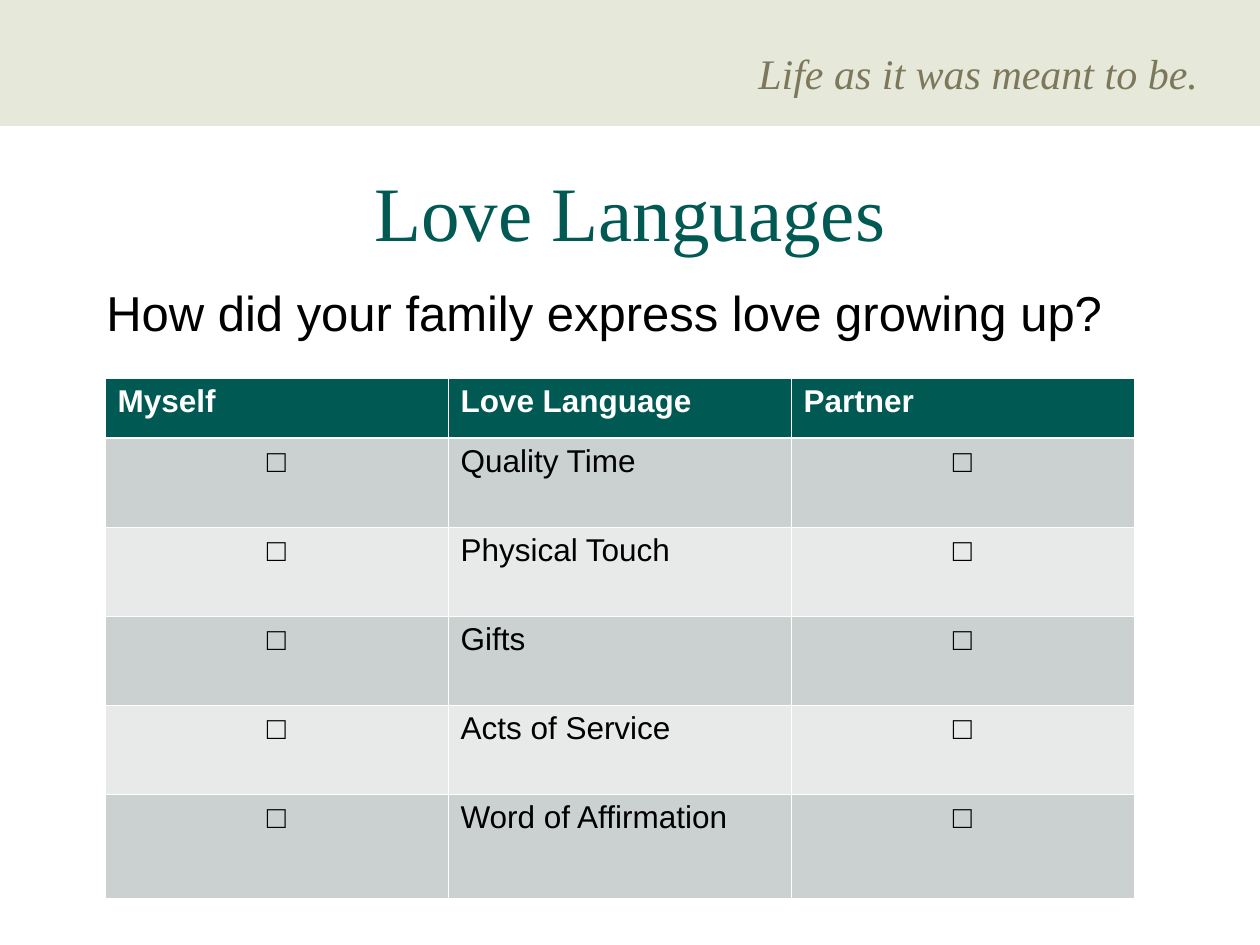
from dataclasses import dataclass

import pptx
import pptx.dml.color
import pptx.enum.shapes
import pptx.enum.text
import pptx.oxml
import pptx.oxml.ns
import pptx.util

ALIGN = pptx.enum.text.PP_ALIGN
ANCHOR = pptx.enum.text.MSO_ANCHOR


@dataclass(frozen=True)
class Theme:
    serif: str = "Times New Roman"
    sans: str = "Arial"
    band: str = "E6E9DA"
    tagline: str = "7D785B"
    teal: str = "005953"
    row_dark: str = "CBD1D1"
    row_light: str = "E7EAE9"
    white: str = "FFFFFF"
    black: str = "000000"
    tagline_size: int = 24
    title_size: int = 44
    question_size: int = 28
    cell_size: int = 18
    thin: float = 0.45
    thick: float = 1.47


@dataclass(frozen=True)
class Box:
    x: int
    y: int
    w: int
    h: int

    def emu(self) -> tuple:
        return tuple(px(v) for v in (self.x, self.y, self.w, self.h))


@dataclass(frozen=True)
class TextItem:
    text: str
    box: Box
    font: str
    size: int
    color: str
    italic: bool = False
    align: ALIGN = ALIGN.LEFT
    anchor: ANCHOR = ANCHOR.TOP
    top: int = 6


T = Theme()

SLIDE = Box(0, 0, 1260, 945)
BAND = Box(0, 0, 1260, 126)
TABLE = Box(105, 378, 1029, 520)
ROW_HEIGHTS = [60, 89, 89, 89, 89, 104]
HEADERS = ["Myself", "Love Language", "Partner"]
LANGUAGES = ["Quality Time", "Physical Touch", "Gifts", "Acts of Service",
             "Word of Affirmation"]

TEXTS = [
    TextItem("Life as it was meant to be.", Box(746, 42, 494, 63),
             T.serif, T.tagline_size, T.tagline, italic=True),
    TextItem("Love Languages", Box(94, 158, 1072, 105),
             T.serif, T.title_size, T.teal, align=ALIGN.CENTER, anchor=ANCHOR.MIDDLE),
    TextItem("How did your family express love growing up?", Box(94, 273, 1072, 567),
             T.sans, T.question_size, T.black, top=10),
]


def px(n: int) -> int:
    return round(n * 914400 / 126)


def rgb(color: str) -> pptx.dml.color.RGBColor:
    return pptx.dml.color.RGBColor.from_string(color)


def write(tf, text: str, *, font: str, size: int, color: str, bold: bool = False,
          italic: bool = False, align: ALIGN = ALIGN.LEFT) -> None:
    p = tf.paragraphs[0]
    p.alignment = align
    r = p.add_run()
    r.text = text
    r.font.name = font
    r.font.size = pptx.util.Pt(size)
    r.font.bold = bold
    r.font.italic = italic
    r.font.color.rgb = rgb(color)


def add_band(s) -> None:
    sp = s.shapes.add_shape(pptx.enum.shapes.MSO_SHAPE.RECTANGLE, *BAND.emu())
    sp.shadow.inherit = False
    sp.fill.solid()
    sp.fill.fore_color.rgb = rgb(T.band)
    sp.line.fill.background()


def add_text(s, item: TextItem) -> None:
    tf = s.shapes.add_textbox(*item.box.emu()).text_frame
    tf.word_wrap = True
    tf.vertical_anchor = item.anchor
    tf.margin_top = px(item.top)
    write(tf, item.text, font=item.font, size=item.size, color=item.color,
          italic=item.italic, align=item.align)


def set_borders(cell, top: float, bottom: float) -> None:
    tc_pr = cell._tc.get_or_add_tcPr()
    ns = pptx.oxml.ns.nsdecls("a")
    widths = {"lnL": T.thin, "lnR": T.thin, "lnT": top, "lnB": bottom}
    for i, (tag, width) in enumerate(widths.items()):
        tc_pr.insert(i, pptx.oxml.parse_xml(
            f'<a:{tag} {ns} w="{pptx.util.Pt(width)}"><a:solidFill>'
            f'<a:srgbClr val="{T.white}"/></a:solidFill></a:{tag}>'))


def add_table(s) -> None:
    rows = [HEADERS] + [["□", name, "□"] for name in LANGUAGES]
    table = s.shapes.add_table(len(rows), len(HEADERS), *TABLE.emu()).table
    for column in table.columns:
        column.width = px(TABLE.w // len(HEADERS))
    for i, (values, height) in enumerate(zip(rows, ROW_HEIGHTS)):
        table.rows[i].height = px(height)
        header = i == 0
        fill = T.teal if header else (T.row_light, T.row_dark)[i % 2]
        for j, value in enumerate(values):
            cell = table.cell(i, j)
            cell.fill.solid()
            cell.fill.fore_color.rgb = rgb(fill)
            set_borders(cell, top=T.thick if i == 1 else T.thin,
                        bottom=T.thick if header else T.thin)
            write(cell.text_frame, value, font=T.sans, size=T.cell_size,
                  color=T.white if header else T.black, bold=header,
                  align=ALIGN.CENTER if value == "□" else ALIGN.LEFT)


def main() -> None:
    prs = pptx.Presentation()
    prs.slide_width, prs.slide_height = px(SLIDE.w), px(SLIDE.h)
    s = prs.slides.add_slide(prs.slide_layouts[6])
    add_band(s)
    for item in TEXTS:
        add_text(s, item)
    add_table(s)
    prs.save("out.pptx")


if __name__ == "__main__":
    main()
